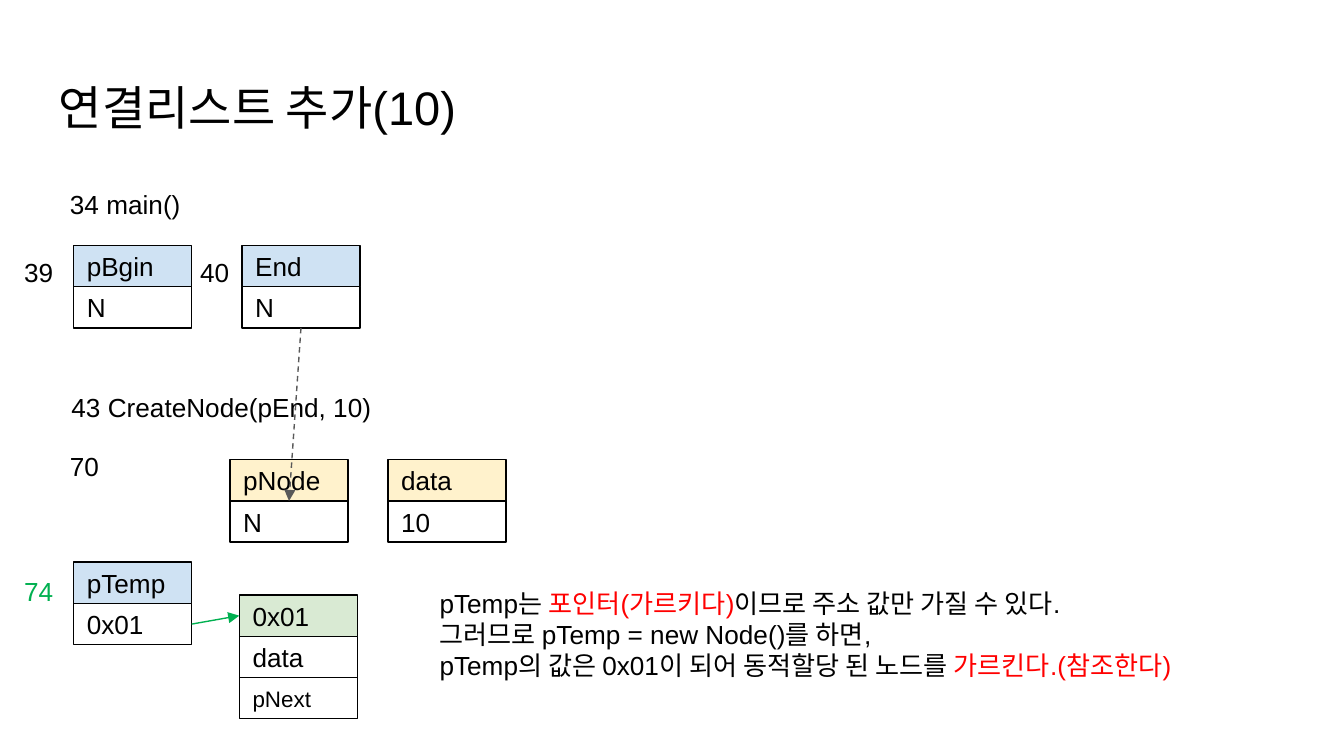
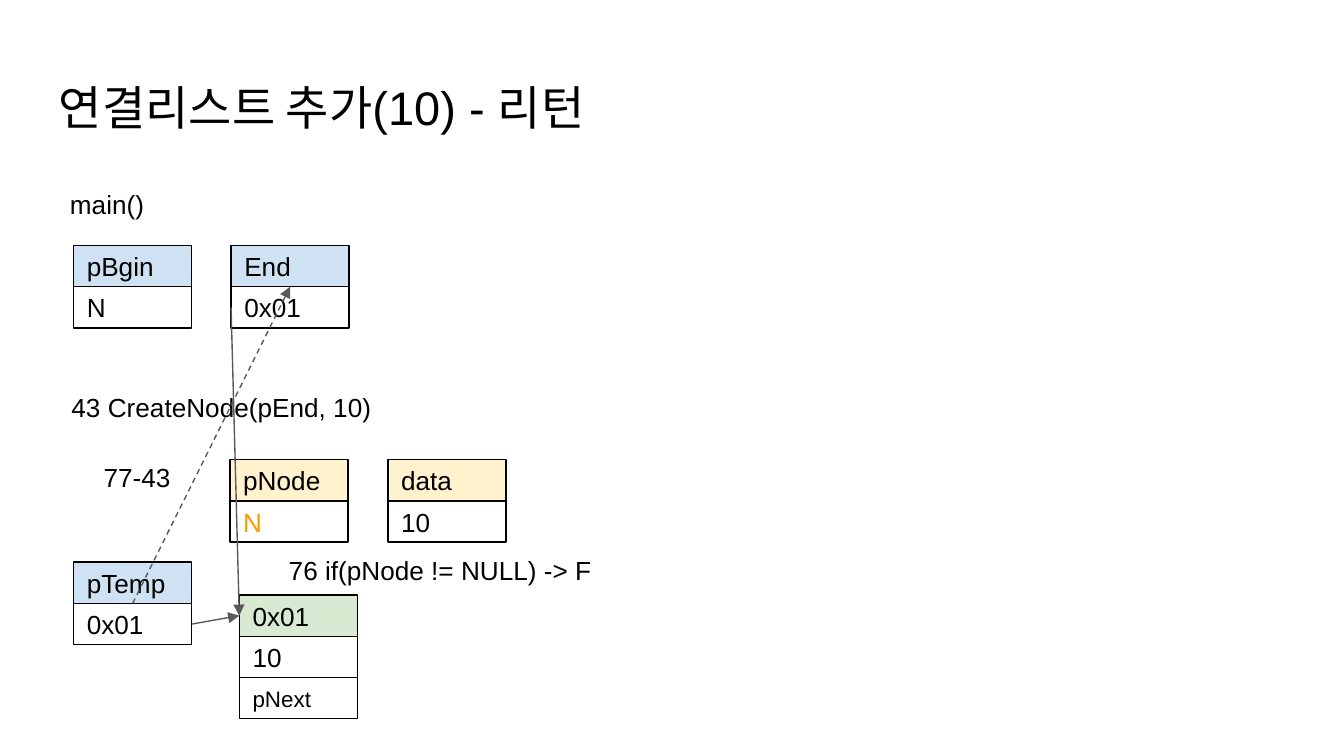
from dataclasses import dataclass

from lxml.etree import SubElement
from pptx import Presentation
from pptx.dml.color import RGBColor
from pptx.enum.dml import MSO_LINE
from pptx.enum.shapes import MSO_CONNECTOR, MSO_SHAPE
from pptx.enum.text import MSO_ANCHOR, MSO_AUTO_SIZE, PP_ALIGN
from pptx.oxml.ns import qn
from pptx.util import Pt


@dataclass(frozen=True)
class Theme:
    font: str = "Arial"
    title_size: float = 25.2
    body_size: float = 14
    small_size: float = 12
    line_width: float = 0.75
    inset: float = 7.2
    cell_width: float = 63.3
    cell_height: float = 22.1
    text: str = "000000"
    white: str = "FFFFFF"
    variable: str = "CFE2F3"
    parameter: str = "FFF2CC"
    node: str = "D9EAD3"
    arrow: str = "595959"
    current: str = "00B050"
    emphasis: str = "FF0000"
    result: str = "FF9900"


THEME = Theme()
LEFT_COLUMN = 39.4
MAIN_TOP = 131.5
LABEL_HEIGHT = 31.5


def apply_format(target, values):
    for name, value in values.items():
        setattr(target, name, value)


def add_span(para, text, color, size):
    span = para.add_run()
    span.text = text
    apply_format(span.font, {"name": THEME.font, "size": Pt(size)})
    span.font.color.rgb = RGBColor.from_string(color)


def add_break(para, size):
    para.add_line_break()
    line_break = para._p.findall(qn("a:br"))[-1]
    SubElement(line_break, qn("a:rPr"), sz=str(size * 100))


def set_frame(frame, vertical_inset=THEME.inset, **extra):
    apply_format(frame, {
        "word_wrap": True,
        "margin_left": Pt(THEME.inset),
        "margin_right": Pt(THEME.inset),
        "margin_top": Pt(vertical_inset),
        "margin_bottom": Pt(vertical_inset),
        **extra,
    })


def add_text_box(page, left, top, width, height, **extra):
    box = page.shapes.add_textbox(Pt(left), Pt(top), Pt(width), Pt(height))
    set_frame(box.text_frame, **extra)
    return box.text_frame


def add_title(page, text):
    frame = add_text_box(page, 24.5, 35, 671, 45.1)
    add_span(frame.paragraphs[0], text, THEME.text, THEME.title_size)


def add_label(page, text, left, top, width, color=THEME.text):
    frame = add_text_box(page, left, top, width, LABEL_HEIGHT,
                         auto_size=MSO_AUTO_SIZE.SHAPE_TO_FIT_TEXT)
    add_span(frame.paragraphs[0], text, color, THEME.body_size)


def add_explanation(page, paragraphs, left, top, width, height):
    frame = add_text_box(page, left, top, width, height, vertical_inset=3.6,
                         auto_size=MSO_AUTO_SIZE.SHAPE_TO_FIT_TEXT)
    for number, spans in enumerate(paragraphs):
        para = frame.add_paragraph() if number else frame.paragraphs[0]
        for text, color in spans:
            for row, line in enumerate(text.split("\n")):
                if row:
                    add_break(para, THEME.body_size)
                add_span(para, line, color, THEME.body_size)


def add_cell(group, text, left, top, fill, color, size):
    cell = group.shapes.add_shape(
        MSO_SHAPE.RECTANGLE, Pt(left), Pt(top),
        Pt(THEME.cell_width), Pt(THEME.cell_height))
    cell.shadow.inherit = False
    cell.fill.solid()
    cell.fill.fore_color.rgb = RGBColor.from_string(fill)
    cell.line.color.rgb = RGBColor.from_string(THEME.text)
    cell.line.width = Pt(THEME.line_width)
    set_frame(cell.text_frame, vertical_anchor=MSO_ANCHOR.MIDDLE)
    para = cell.text_frame.paragraphs[0]
    para.alignment = PP_ALIGN.LEFT
    add_span(para, text, color, size)
    return cell


def add_stack(page, texts, left, top, head_fill, value_color=THEME.text):
    group = page.shapes.add_group_shape()
    cells = []
    for row, text in enumerate(texts):
        cells.append(add_cell(
            group, text, left, top + row * THEME.cell_height,
            fill=THEME.white if row else head_fill,
            color=value_color if row == 1 else THEME.text,
            size=THEME.small_size if row == 2 else THEME.body_size))
    return cells


def add_arrow(page, start, start_side, end, end_side,
              color=THEME.arrow, dash=None):
    arrow = page.shapes.add_connector(MSO_CONNECTOR.STRAIGHT, 0, 0, 0, 0)
    arrow.begin_connect(start, start_side)
    arrow.end_connect(end, end_side)
    arrow.line.color.rgb = RGBColor.from_string(color)
    apply_format(arrow.line, {"width": Pt(THEME.line_width), "dash_style": dash})
    SubElement(arrow.line._get_or_add_ln(), qn("a:tailEnd"), type="triangle")
    SubElement(arrow._element.spPr, qn("a:effectLst"))


def add_memory(page, title, main_label, end_left, end_value, node_value,
               pointer_color=THEME.text):
    add_title(page, title)
    add_label(page, main_label, 30.4, 93.8, 395)
    add_label(page, "43 CreateNode(pEnd, 10)", 31.2, 202.6, 391)
    add_stack(page, ["pBgin", "N"], LEFT_COLUMN, MAIN_TOP, THEME.variable)
    end = add_stack(page, ["End", end_value], end_left, MAIN_TOP, THEME.variable)
    pointer = add_stack(page, ["pNode", "N"], 123.2, 246.3, THEME.parameter,
                        pointer_color)
    add_stack(page, ["data", "10"], 207.8, 246.3, THEME.parameter)
    temp = add_stack(page, ["pTemp", "0x01"], LEFT_COLUMN, 301.2, THEME.variable)
    node = add_stack(page, ["0x01", node_value, "pNext"], 128.2, 318.8, THEME.node)
    return end[1], pointer[1], temp[1], node[0]


def build_insert(page):
    end, pointer, temp, node = add_memory(
        page, "연결리스트 추가(10)", "34 main()", 129.6, "N", "data")
    add_arrow(page, end, 2, pointer, 0, dash=MSO_LINE.DASH)
    add_arrow(page, temp, 3, node, 1, color=THEME.current)
    add_label(page, "39", 5.8, 130.3, 30.2)
    add_label(page, "40", 100.1, 130.3, 30.2)
    add_label(page, "70", 30.4, 234.3, 43.2)
    add_label(page, "74", 5.8, 301.2, 33.1, THEME.current)
    add_explanation(page, [
        [("pTemp는 ", THEME.text),
         ("포인터(가르키다)", THEME.emphasis),
         ("이므로 주소 값만 가질 수 있다.", THEME.text)],
        [("그러므로 pTemp = new Node()를 하면,\n"
          "pTemp의 값은 0x01이 되어 동적할당 된 노드를 ", THEME.text),
         ("가르킨다.(참조한다)", THEME.emphasis)],
    ], 228.4, 311, 438.5, 58.3)


def build_return(page):
    end, pointer, temp, node = add_memory(
        page, "연결리스트 추가(10) - 리턴", "main()", 123.8, "0x01", "10",
        THEME.result)
    add_arrow(page, temp, 3, node, 1)
    add_arrow(page, temp, 0, end, 0, dash=MSO_LINE.DASH)
    add_arrow(page, end, 1, node, 1)
    add_label(page, "77-43", 48.4, 240, 51.1)
    add_label(page, "76 if(pNode != NULL) -> F", 147.6, 290, 205.2)


def main():
    deck = Presentation()
    apply_format(deck, {"slide_width": Pt(720), "slide_height": Pt(405)})
    for build in (build_insert, build_return):
        build(deck.slides.add_slide(deck.slide_layouts[6]))
    deck.save("out.pptx")


if __name__ == "__main__":
    main()
